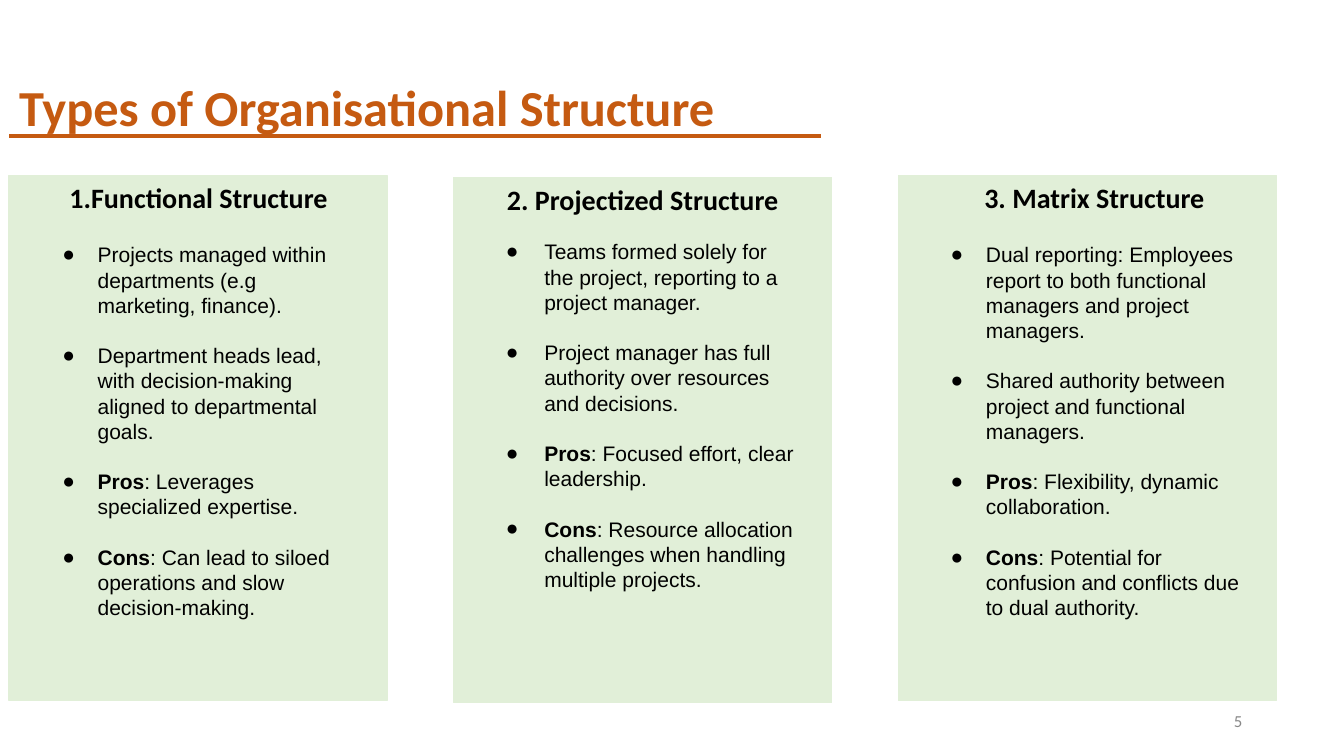
from lxml.etree import SubElement
from pptx import Presentation
from pptx.dml.color import RGBColor
from pptx.enum.shapes import MSO_CONNECTOR, MSO_SHAPE
from pptx.enum.text import MSO_ANCHOR, PP_ALIGN
from pptx.oxml.ns import qn
from pptx.util import Inches, Pt

COLORS = {"accent": "C55A11", "panel": "E1EFD8", "text": "000000", "number": "888888"}
LEFT, TOP = 0.09, 1.74
PANEL_WIDTH, PANEL_HEIGHT, COLUMN_PITCH = 3.75, 5.21, 4.41
BODY_WIDTH, BODY_HEIGHT = 3.22, 4.15

STRUCTURES = [
    {
        "heading": "1.Functional Structure",
        "align": PP_ALIGN.JUSTIFY, "heading_indent": (0.5, 0),
        "drop": 0, "body_offset": (0.28, 0.56), "hanging": -0.35,
        "points": [
            ("", "Projects managed within departments (e.g marketing, finance)."),
            ("", "Department heads lead, with decision-making aligned to departmental goals."),
            ("Pros", ": Leverages specialized expertise."),
            ("Cons", ": Can lead to siloed operations and slow decision-making."),
        ],
    },
    {
        "heading": "2. Projectized Structure",
        "align": PP_ALIGN.CENTER, "heading_indent": (0, 0),
        "drop": 0.02, "body_offset": (0.3, 0.51), "hanging": -0.38,
        "points": [
            ("", "Teams formed solely for the project, reporting to a project manager."),
            ("", "Project manager has full authority over resources and decisions."),
            ("Pros", ": Focused effort, clear leadership."),
            ("Cons", ": Resource allocation challenges when handling multiple projects."),
        ],
    },
    {
        "heading": "3. Matrix Structure",
        "align": PP_ALIGN.CENTER, "heading_indent": (0.38, -0.24),
        "drop": 0, "body_offset": (0.27, 0.56), "hanging": -0.35,
        "points": [
            ("", "Dual reporting: Employees report to both functional managers and project managers."),
            ("", "Shared authority between project and functional managers."),
            ("Pros", ": Flexibility, dynamic collaboration."),
            ("Cons", ": Potential for confusion and conflicts due to dual authority."),
        ],
    },
]


def color(name):
    return RGBColor.from_string(COLORS[name])


def add_run(paragraph, text, size, font, ink, bold=False):
    run = paragraph.add_run()
    run.text = text
    run.font.size = Pt(size)
    run.font.name = font
    run.font.bold = bold
    run.font.color.rgb = color(ink)


def indent(paragraph, margin, first_line):
    properties = paragraph._p.get_or_add_pPr()
    properties.set("marL", str(Inches(margin)))
    properties.set("indent", str(Inches(first_line)))
    return properties


def add_bullet(paragraph, hanging):
    properties = indent(paragraph, 0.5, hanging)
    tint = SubElement(properties, qn("a:buClr"))
    SubElement(tint, qn("a:srgbClr"), val=COLORS["text"])
    SubElement(properties, qn("a:buFont"), typeface="Arial")
    SubElement(properties, qn("a:buChar"), char="●")


def add_text_frame(slide, box, anchor=MSO_ANCHOR.TOP):
    frame = slide.shapes.add_textbox(*map(Inches, box)).text_frame
    frame.word_wrap = True
    frame.vertical_anchor = anchor
    return frame


def add_title(slide, box, rule_width):
    left, top, width, height = box
    title = add_text_frame(slide, box).paragraphs[0]
    add_run(title, "Types of Organisational Structure", 36, "Calibri", "accent", True)
    rule_top = top + 0.64
    ends = map(Inches, (left, rule_top, left + rule_width, rule_top))
    rule = slide.shapes.add_connector(MSO_CONNECTOR.STRAIGHT, *ends)
    rule.line.color.rgb = color("accent")
    rule.line.width = Pt(3)
    SubElement(rule._element.spPr, qn("a:effectLst"))


def add_points(slide, box, points, hanging):
    frame = add_text_frame(slide, box)
    frame.margin_top = frame.margin_bottom = Inches(0.1)
    for index, (label, detail) in enumerate(points):
        point = frame.paragraphs[0] if index == 0 else frame.add_paragraph()
        point.line_spacing = Pt(18)
        point.space_before = Pt(18 if index else 0)
        add_bullet(point, hanging)
        if label:
            add_run(point, label, 15, "Arial", "text", True)
        add_run(point, detail, 15, "Arial", "text")


def add_structure(slide, box, structure):
    left, top, width, height = box
    panel = slide.shapes.add_shape(MSO_SHAPE.RECTANGLE, *map(Inches, box))
    panel.shadow.inherit = False
    panel.fill.solid()
    panel.fill.fore_color.rgb = color("panel")
    panel.line.color.rgb = color("panel")
    panel.line.width = Pt(1)
    panel.text_frame.word_wrap = True
    panel.text_frame.vertical_anchor = MSO_ANCHOR.TOP
    heading = panel.text_frame.paragraphs[0]
    heading.alignment = structure["align"]
    indent(heading, *structure["heading_indent"])
    add_run(heading, structure["heading"], 20, "Calibri", "text", True)
    shift, descent = structure["body_offset"]
    body_box = (left + shift, top + descent, BODY_WIDTH, BODY_HEIGHT)
    add_points(slide, body_box, structure["points"], structure["hanging"])


def add_page_number(slide, box):
    number = add_text_frame(slide, box, MSO_ANCHOR.MIDDLE).paragraphs[0]
    number.alignment = PP_ALIGN.RIGHT
    add_run(number, "5", 12, "Calibri", "number")


def main():
    deck = Presentation()
    deck.slide_width, deck.slide_height = Inches(13.33), Inches(7.5)
    slide = deck.slides.add_slide(deck.slide_layouts[6])
    add_page_number(slide, (9.42, 6.95, 3, 0.4))
    add_title(slide, (LEFT, 0.71, 7.51, 0.5), 8.05)
    for column, structure in enumerate(STRUCTURES):
        left = LEFT + column * COLUMN_PITCH
        top = TOP + structure["drop"]
        add_structure(slide, (left, top, PANEL_WIDTH, PANEL_HEIGHT), structure)
    deck.save("out.pptx")


if __name__ == "__main__":
    main()
